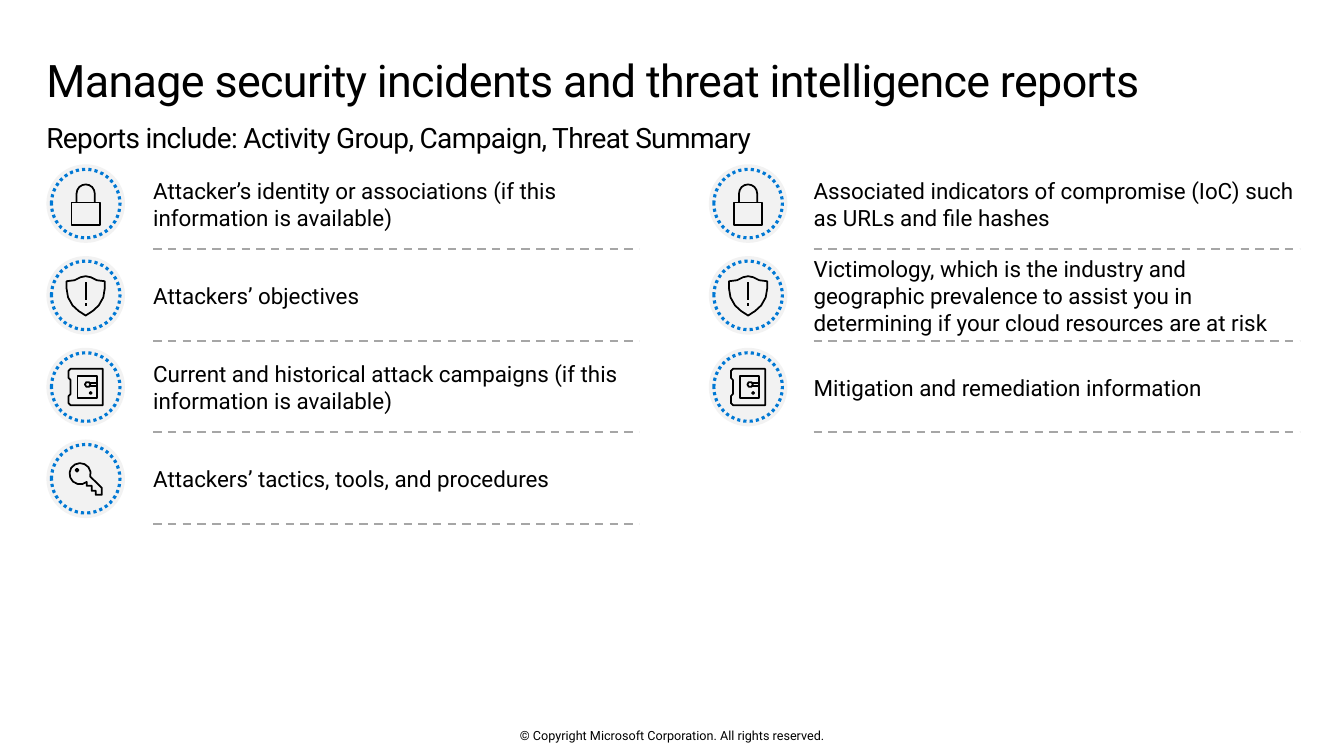
from math import cos, radians, sin

from lxml import etree
from pptx import Presentation
from pptx.dml.color import RGBColor
from pptx.enum.dml import MSO_LINE
from pptx.enum.shapes import MSO_CONNECTOR, MSO_SHAPE
from pptx.enum.text import MSO_ANCHOR, MSO_AUTO_SIZE, PP_ALIGN
from pptx.oxml.ns import qn
from pptx.util import Inches, Pt

DASH, DOTS = MSO_LINE.DASH, MSO_LINE.ROUND_DOT
STRAIGHT, ELLIPSE = MSO_CONNECTOR.STRAIGHT, MSO_SHAPE.OVAL
TOP, MIDDLE = MSO_ANCHOR.TOP, MSO_ANCHOR.MIDDLE
LEFT, CENTER = PP_ALIGN.LEFT, PP_ALIGN.CENTER
NO_AUTOFIT = MSO_AUTO_SIZE.NONE

# Content
TITLE = "Manage security incidents and threat intelligence reports"
SUBTITLE = "Reports include: Activity Group, Campaign, Threat Summary"
COPYRIGHT = "© Copyright Microsoft Corporation. All rights reserved."
ROW_ICONS = ["lock", "shield", "safe", "key"]
REPORT_COLUMNS = [
    [
        "Attacker’s identity or associations (if this information is available)",
        "Attackers’ objectives",
        "Current and historical attack campaigns (if this information is available)",
        "Attackers’ tactics, tools, and procedures",
    ],
    [
        "Associated indicators of compromise (IoC) such as URLs and file hashes",
        "Victimology, which is the industry and geographic prevalence to assist you in "
        "determining if your cloud resources are at risk",
        "Mitigation and remediation information",
    ],
]

# Theme
THEME = {
    "font": "Roboto",
    "text": RGBColor(0, 0, 0),
    "badge": RGBColor(0xF2, 0xF2, 0xF2),
    "ring": RGBColor(0x00, 0x78, 0xD4),
    "rule": RGBColor(0xA6, 0xA6, 0xA6),
    "title": 32, "subtitle": 20, "item": 16, "footer": 9,
    "tracking": -0.48,
}

# Grid, in inches
SLIDE_W, SLIDE_H = 13.33, 7.5
MARGIN, CONTENT_W = 0.46, 12.4
ICON_X, TEXT_X = (0.85, 7.42), (1.52, 8.07)
ROW_Y, ROW_PITCH = 2.02, 0.91
TEXT_W, TEXT_H = 4.8, 0.72
RULE_W, RULE_DROP = 4.82, 0.45
BADGE_D, RING_D = 0.78, 0.68


# Icon outlines, in hundredths of an inch around the badge centre
def arc(cx, cy, r, start, end, steps):
    angles = [radians(start + (end - start) * i / steps) for i in range(steps + 1)]
    return [(cx + r * cos(a), cy + r * sin(a)) for a in angles]


def circle(cx, cy, r, steps):
    return arc(cx, cy, r, 0, 360, steps)[:-1]


def box(left, top, right, bottom):
    return [(left, top), (right, top), (right, bottom), (left, bottom)]


shield_right = [(5, -18), (11, -15), (19, -14), (19, -7), (17.5, 2), (13, 10), (7, 15.5)]
shield_left = [(-x, y) for x, y in reversed(shield_right)]
shield_outline = [(0, -19), *shield_right, (0, 20), *shield_left]
safe_outline = [(17, -18), (17, 18), (-15, 18), (-17, 16), (-17, 9), (-15, 7),
                (-15, -7), (-17, -9), (-17, -16), (-15, -18)]
key_outline = arc(-5.5, -5, 10.5, 51, 376, 12) + [
    (16, 9), (16, 16), (10, 16), (10, 12), (6, 12), (6, 7), (1, 7)]

# Each contour is its points and whether it is closed
ICONS = {
    "lock": [(box(-14, -1, 14, 21), True),
             ([(-9, -1)] + arc(0, -10, 9, 180, 360, 8) + [(9, -1)], False)],
    "shield": [(shield_outline, True),
               ([(0, -13), (0, 5)], False), ([(0, 8), (0, 11)], False)],
    "safe": [(safe_outline, True), (box(-8, -11, 11, 11), True),
             (circle(2, -2.5, 2.7, 6), True), (circle(5, 6, 1, 4), True),
             ([(4, -4), (11, -4)], False), ([(4, -1), (11, -1)], False)],
    "key": [(key_outline, True), (circle(-8.5, -8.5, 1.5, 4), True)],
}


def place(shape, left, top, width, height):
    shape.left, shape.top = Inches(left), Inches(top)
    shape.width, shape.height = Inches(width), Inches(height)


def write(shape, text, size, anchor=TOP, align=LEFT, insets=(0, 0, 0, 0), tracking=None):
    frame = shape.text_frame
    frame.word_wrap = True
    frame.auto_size = NO_AUTOFIT
    frame.vertical_anchor = anchor
    (frame.margin_left, frame.margin_top,
     frame.margin_right, frame.margin_bottom) = map(Inches, insets)
    paragraph = frame.paragraphs[0]
    properties = paragraph._p.get_or_add_pPr()
    properties.set("marL", "0")
    properties.set("indent", "0")
    etree.SubElement(properties, qn("a:buNone"))
    paragraph.alignment = align
    paragraph.space_before = Pt(0)
    run = paragraph.add_run()
    run.text = text
    run.font.name = THEME["font"]
    run.font.size = Pt(THEME[size])
    run.font.color.rgb = THEME["text"]
    if tracking:
        run._r.get_or_add_rPr().set("spc", str(round(tracking * 100)))
    return paragraph


def add_textbox(slide, area, text, size, align=LEFT):
    textbox = slide.shapes.add_textbox(*map(Inches, area))
    write(textbox, text, size, MIDDLE, align)


def add_disc(shapes, x, y, diameter):
    disc = shapes.add_shape(ELLIPSE, Inches(x - diameter / 2), Inches(y - diameter / 2),
                            Inches(diameter), Inches(diameter))
    disc.shadow.inherit = False
    return disc


def add_badge(slide, x, y, icon):
    shapes = slide.shapes.add_group_shape().shapes
    badge = add_disc(shapes, x, y, BADGE_D)
    badge.fill.solid()
    badge.fill.fore_color.rgb = THEME["badge"]
    badge.line.fill.background()

    ring = add_disc(shapes, x, y, RING_D)
    ring.fill.background()
    ring.line.color.rgb = THEME["ring"]
    ring.line.width = Pt(2.25)
    ring.line.dash_style = DOTS

    builder = None
    for contour, closed in ICONS[icon]:
        start, *rest = [(px * 10, py * 10) for px, py in contour]
        if builder is None:
            builder = shapes.build_freeform(*start, scale=Inches(1) / 1000)
        else:
            builder.move_to(*start)
        builder.add_line_segments(rest, close=closed)
    symbol = builder.convert_to_shape(Inches(x), Inches(y))
    symbol.shadow.inherit = False
    symbol.fill.background()
    symbol.line.color.rgb = THEME["text"]
    symbol.line.width = Pt(1.25)


def add_rule(slide, x, y):
    rule = slide.shapes.add_connector(STRAIGHT, Inches(x), Inches(y), Inches(x + RULE_W), Inches(y))
    rule.line.color.rgb = THEME["rule"]
    rule.line.width = Pt(1.5)
    rule.line.dash_style = DASH
    etree.SubElement(rule._element.spPr, qn("a:effectLst"))


def main():
    deck = Presentation()
    deck.slide_width, deck.slide_height = Inches(SLIDE_W), Inches(SLIDE_H)
    slide = deck.slides.add_slide(deck.slide_layouts[1])

    # Headings
    title, subtitle = slide.placeholders
    place(title, MARGIN, 0.48, CONTENT_W, 0.74)
    heading = write(title, TITLE, "title", insets=(0, 0.1, 0.16, 0.1), tracking=THEME["tracking"])
    heading.line_spacing = 0.9
    place(subtitle, MARGIN, 1.2, CONTENT_W, 0.34)
    write(subtitle, SUBTITLE, "subtitle", tracking=THEME["tracking"])

    # Report contents, one badge, text and rule per row
    for items, icon_x, text_x in zip(REPORT_COLUMNS, ICON_X, TEXT_X):
        for row, (item, icon) in enumerate(zip(items, ROW_ICONS)):
            y = ROW_Y + row * ROW_PITCH
            add_rule(slide, text_x, y + RULE_DROP)
            add_badge(slide, icon_x, y, icon)
            add_textbox(slide, (text_x, y - TEXT_H / 2, TEXT_W, TEXT_H), item, "item")

    # Footer
    footer_w = 4.5
    add_textbox(slide, ((SLIDE_W - footer_w) / 2, 7.22, footer_w, 0.15),
                COPYRIGHT, "footer", CENTER)
    deck.save("out.pptx")


if __name__ == "__main__":
    main()
